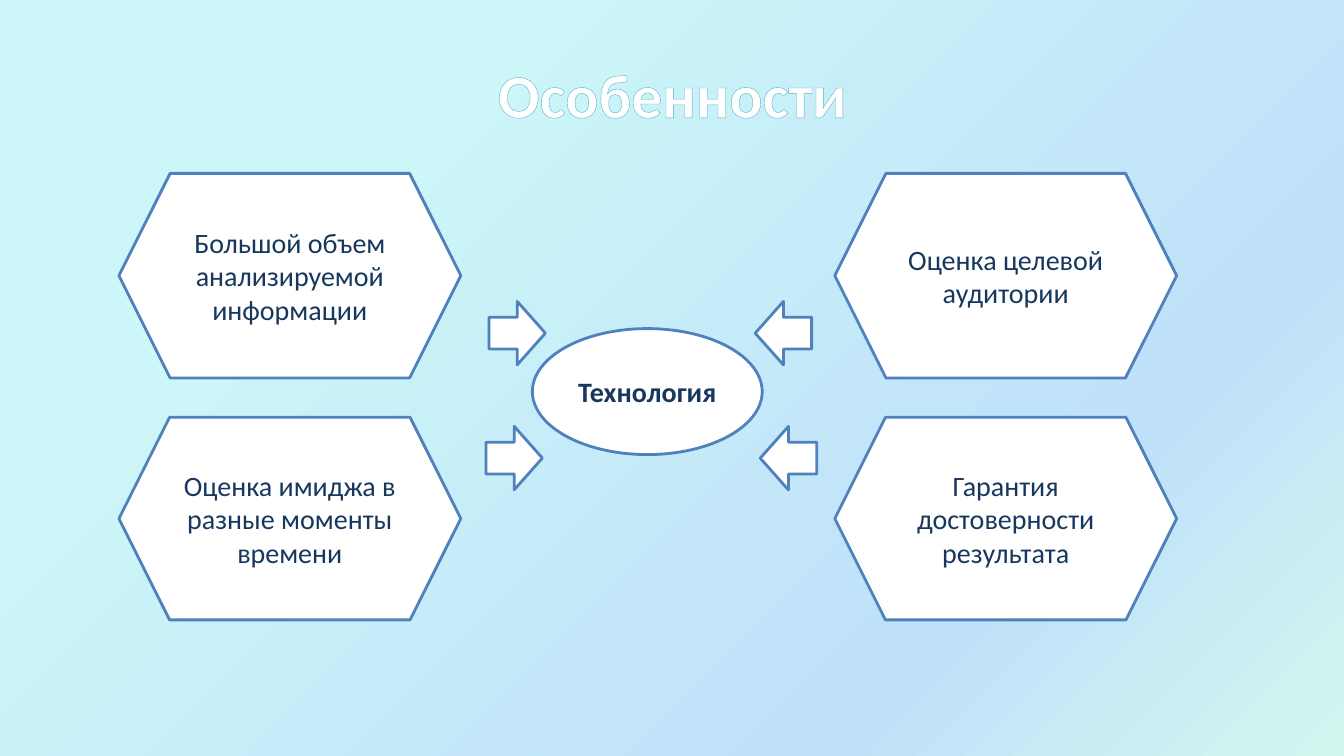
from dataclasses import dataclass

from lxml import etree
from pptx import Presentation
from pptx.dml.color import RGBColor
from pptx.enum.shapes import MSO_SHAPE
from pptx.enum.text import MSO_ANCHOR, PP_ALIGN
from pptx.oxml.ns import qn
from pptx.shapes.autoshape import Shape
from pptx.slide import Slide
from pptx.util import Inches, Pt

TITLE_ONLY = 5
HEXAGON, ELLIPSE, ARROW = MSO_SHAPE.HEXAGON, MSO_SHAPE.OVAL, MSO_SHAPE.RIGHT_ARROW
CENTER, MIDDLE = PP_ALIGN.CENTER, MSO_ANCHOR.MIDDLE
FONT = "Calibri"
WHITE, BLUE, NAVY, TEAL = "FFFFFF", "4F81BD", "17375E", "4BACC6"
BACKGROUND_STOPS = ((25, "CCF6F8"), (75, "BFE1F9"), (100, "D2F7EF"))

LEFT, RIGHT = 1.18, 8.28
TOP, BOTTOM = 1.72, 4.14
HEXAGON_WIDTH, TOP_HEIGHT, BOTTOM_HEIGHT = 3.39, 2.03, 2.01
ARROW_WIDTH, ARROW_HEIGHT = 0.56, 0.63
ARROW_TOP, ARROW_BOTTOM = 2.99, 4.23


@dataclass(frozen=True)
class Feature:
    text: str
    left: float
    top: float
    height: float


@dataclass(frozen=True)
class Pointer:
    left: float
    top: float
    rotation: int


FEATURES = (
    Feature("Оценка целевой аудитории", RIGHT, TOP, TOP_HEIGHT),
    Feature("Гарантия достоверности результата", RIGHT, BOTTOM, BOTTOM_HEIGHT),
    Feature("Большой объем анализируемой информации", LEFT, TOP, TOP_HEIGHT),
    Feature("Оценка имиджа в разные моменты времени", LEFT, BOTTOM, BOTTOM_HEIGHT),
)
POINTERS = (
    Pointer(4.85, ARROW_TOP, 0),
    Pointer(4.82, ARROW_BOTTOM, 0),
    Pointer(7.49, ARROW_TOP, 180),
    Pointer(7.54, ARROW_BOTTOM, 180),
)


def color(hex_value: str) -> RGBColor:
    return RGBColor.from_string(hex_value)


def paint_background(slide: Slide) -> None:
    fill = slide.background.fill
    fill.gradient()
    fill.gradient_angle = 315
    stop_list = slide.element.find(".//" + qn("a:gsLst"))
    for stop in list(stop_list):
        stop_list.remove(stop)
    for percent, hex_value in BACKGROUND_STOPS:
        stop = etree.SubElement(stop_list, qn("a:gs"), pos=str(percent * 1000))
        etree.SubElement(stop, qn("a:srgbClr"), val=hex_value)


def add_title(slide: Slide, text: str) -> None:
    title = slide.shapes.title
    title.left, title.top = Inches(0.67), Inches(0.3)
    title.width, title.height = Inches(12), Inches(1.25)
    title.text_frame.vertical_anchor = MIDDLE
    paragraph = title.text_frame.paragraphs[0]
    paragraph.alignment = CENTER
    run = paragraph.add_run()
    run.text = text
    run.font.name, run.font.size, run.font.bold = FONT, Pt(44), True
    run.font.color.rgb = color(WHITE)
    properties = title.element.find(".//" + qn("a:rPr"))
    outline = etree.Element(qn("a:ln"), w=str(Pt(0.8)))
    outline_fill = etree.SubElement(outline, qn("a:solidFill"))
    etree.SubElement(outline_fill, qn("a:srgbClr"), val=TEAL)
    properties.insert(0, outline)


def add_outlined_shape(slide: Slide, kind: MSO_SHAPE, left: float, top: float,
                       width: float, height: float) -> Shape:
    shape = slide.shapes.add_shape(kind, Inches(left), Inches(top), Inches(width), Inches(height))
    shape.shadow.inherit = False
    shape.fill.solid()
    shape.fill.fore_color.rgb = color(WHITE)
    shape.line.color.rgb = color(BLUE)
    shape.line.width = Pt(2)
    return shape


def write_label(shape: Shape, text: str, bold: bool = False) -> None:
    frame = shape.text_frame
    frame.word_wrap = True
    frame.vertical_anchor = MIDDLE
    paragraph = frame.paragraphs[0]
    paragraph.text = text
    paragraph.alignment = CENTER
    font = paragraph.font
    font.name, font.size, font.bold = FONT, Pt(20), bold
    font.color.rgb = color(NAVY)


def main() -> None:
    presentation = Presentation()
    presentation.slide_width, presentation.slide_height = Inches(13.33), Inches(7.5)
    slide = presentation.slides.add_slide(presentation.slide_layouts[TITLE_ONLY])

    paint_background(slide)
    add_title(slide, "Особенности")
    technology = add_outlined_shape(slide, ELLIPSE, 5.28, 3.26, 2.28, 1.25)
    write_label(technology, "Технология", bold=True)
    for feature in FEATURES:
        hexagon = add_outlined_shape(slide, HEXAGON, feature.left, feature.top,
                                     HEXAGON_WIDTH, feature.height)
        write_label(hexagon, feature.text)
    for pointer in POINTERS:
        arrow = add_outlined_shape(slide, ARROW, pointer.left, pointer.top,
                                   ARROW_WIDTH, ARROW_HEIGHT)
        arrow.rotation = pointer.rotation

    presentation.save("out.pptx")


if __name__ == "__main__":
    main()
